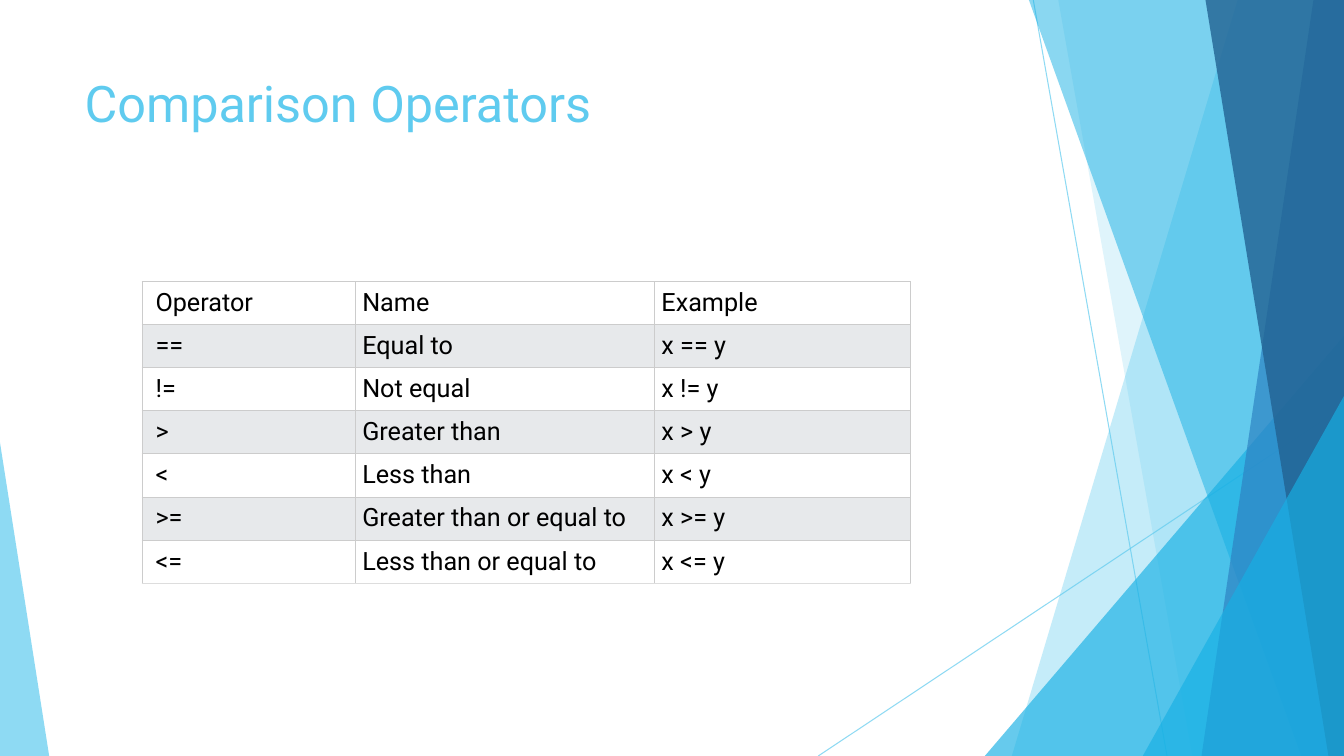
from dataclasses import dataclass

from lxml import etree
from pptx import Presentation
from pptx.dml.color import RGBColor
from pptx.enum.shapes import MSO_CONNECTOR, MSO_SHAPE
from pptx.enum.text import MSO_ANCHOR, PP_ALIGN
from pptx.oxml.ns import qn
from pptx.util import Cm, Pt

STRAIGHT = MSO_CONNECTOR.STRAIGHT
TRIANGLE = MSO_SHAPE.ISOSCELES_TRIANGLE
TOP = MSO_ANCHOR.TOP
LEFT = PP_ALIGN.LEFT

FONT = "Roboto"
COLORS = {
    "sky": "5FCBEF",
    "cyan": "17B0E4",
    "blue": "2E83C3",
    "navy": "226292",
    "black": "000000",
    "white": "FFFFFF",
    "band": "E7E9EB",
    "border": "CCCCCC",
    "bottom": "DDDDDD",
}
PAGE_WIDTH, PAGE_HEIGHT = 33.87, 19.05


@dataclass
class Ray:
    start_x: float
    start_y: float
    end_x: float


@dataclass
class Panel:
    top_x: float
    bottom_x: float
    color: str
    opacity: int


@dataclass
class Wedge:
    left: float
    top: float
    width: float
    peak: float
    color: str
    opacity: int


DECORATION = [
    Ray(26.04, 0, 29.41),
    Ray(PAGE_WIDTH, 10.24, 20.62),
    Panel(31.19, 25.5, "sky", 36),
    Panel(26.67, 30.05, "sky", 20),
    Wedge(24.82, 8.46, 9.05, 1, "cyan", 66),
    Panel(25.93, 32.79, "cyan", 50),
    Panel(33.1, 30.28, "blue", 70),
    Panel(30.38, 33.48, "navy", 80),
    Wedge(28.8, 9.98, 5.07, 1, "cyan", 66),
    Wedge(0, 11.15, 1.24, 0, "sky", 70),
]

COLUMN_WIDTHS = [5.38, 7.54, 6.45]
ROW_HEIGHT = 1.08
ROWS = [
    ("Operator", "Name", "Example"),
    ("==", "Equal to", "x == y"),
    ("!=", "Not equal", "x != y"),
    (">", "Greater than", "x > y"),
    ("<", "Less than", "x < y"),
    (">=", "Greater than or equal to", "x >= y"),
    ("<=", "Less than or equal to", "x <= y"),
]


def rgb(name: str) -> RGBColor:
    return RGBColor.from_string(COLORS[name])


def set_opacity(element, percent: int) -> None:
    color = next(element.iter(qn("a:srgbClr")))
    etree.SubElement(color, qn("a:alpha")).set("val", str(percent * 1000))


def paint(shape, color: str, opacity: int) -> None:
    shape.shadow.inherit = False
    shape.line.fill.background()
    shape.fill.solid()
    shape.fill.fore_color.rgb = rgb(color)
    set_opacity(shape.element.spPr, opacity)


def draw_ray(page, ray: Ray) -> None:
    line = page.shapes.add_connector(
        STRAIGHT, Cm(ray.start_x), Cm(ray.start_y), Cm(ray.end_x), Cm(PAGE_HEIGHT)
    )
    line.line.width = Pt(0.75)
    line.line.color.rgb = rgb("sky")
    properties = line.element.spPr
    set_opacity(properties, 70)
    etree.SubElement(properties, qn("a:effectLst"))


def draw_panel(page, panel: Panel) -> None:
    outline = page.shapes.build_freeform(Cm(panel.top_x), 0)
    outline.add_line_segments([
        (Cm(PAGE_WIDTH), 0),
        (Cm(PAGE_WIDTH), Cm(PAGE_HEIGHT)),
        (Cm(panel.bottom_x), Cm(PAGE_HEIGHT)),
    ])
    paint(outline.convert_to_shape(), panel.color, panel.opacity)


def draw_wedge(page, wedge: Wedge) -> None:
    shape = page.shapes.add_shape(
        TRIANGLE, Cm(wedge.left), Cm(wedge.top),
        Cm(wedge.width), Cm(PAGE_HEIGHT - wedge.top),
    )
    shape.adjustments[0] = wedge.peak
    paint(shape, wedge.color, wedge.opacity)


DRAWERS = {Ray: draw_ray, Panel: draw_panel, Wedge: draw_wedge}


def write(para, text: str, size: int, color: str) -> None:
    para.alignment = LEFT
    span = para.add_run()
    span.text = text
    span.font.name = FONT
    span.font.size = Pt(size)
    span.font.color.rgb = rgb(color)


def draw_title(page, text: str) -> None:
    title = page.shapes.title
    title.left, title.top = Cm(1.88), Cm(1.7)
    title.width, title.height = Cm(23.88), Cm(3.66)
    frame = title.text_frame
    frame.word_wrap = True
    frame.vertical_anchor = TOP
    write(frame.paragraphs[0], text, 36, "sky")
    title.element.getparent().append(title.element)


def set_borders(cell, bottom: str) -> None:
    properties = cell._tc.get_or_add_tcPr()
    sides = {"lnL": "border", "lnR": "border", "lnT": "border", "lnB": bottom}
    for side, color in sides.items():
        line = etree.SubElement(properties, qn(f"a:{side}"), w=str(Pt(0.6)))
        fill = etree.SubElement(line, qn("a:solidFill"))
        etree.SubElement(fill, qn("a:srgbClr"), val=COLORS[color])


def draw_table(page) -> None:
    table = page.shapes.add_table(
        len(ROWS), len(COLUMN_WIDTHS), Cm(3.58), Cm(7.09),
        Cm(sum(COLUMN_WIDTHS)), Cm(ROW_HEIGHT * len(ROWS)),
    ).table
    table.first_row = False
    table.horz_banding = False
    for column, width in zip(table.columns, COLUMN_WIDTHS):
        column.width = Cm(width)
    for row_index, texts in enumerate(ROWS):
        table.rows[row_index].height = Cm(ROW_HEIGHT)
        last = row_index == len(ROWS) - 1
        for column_index, text in enumerate(texts):
            cell = table.cell(row_index, column_index)
            cell.margin_left = Cm(0.17 if column_index else 0.34)
            cell.margin_right = cell.margin_top = cell.margin_bottom = Cm(0.17)
            cell.vertical_anchor = TOP
            set_borders(cell, "bottom" if last else "border")
            cell.fill.solid()
            cell.fill.fore_color.rgb = rgb("band" if row_index % 2 else "white")
            write(cell.text_frame.paragraphs[0], text, 18, "black")


def main() -> None:
    deck = Presentation()
    deck.slide_width, deck.slide_height = Cm(PAGE_WIDTH), Cm(PAGE_HEIGHT)
    page = deck.slides.add_slide(deck.slide_layouts.get_by_name("Title Only"))
    for item in DECORATION:
        DRAWERS[type(item)](page, item)
    draw_title(page, "Comparison Operators")
    draw_table(page)
    deck.save("out.pptx")


if __name__ == "__main__":
    main()
